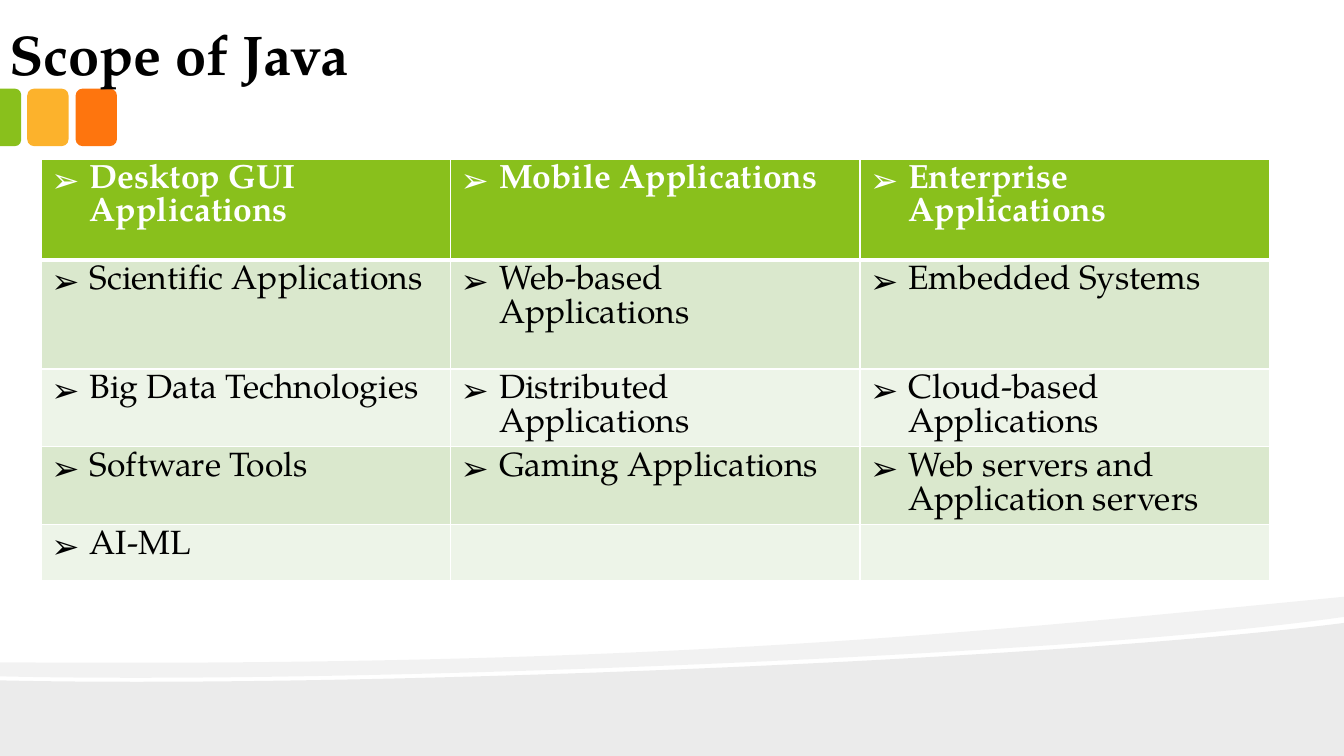
from dataclasses import dataclass

from lxml.etree import SubElement
from pptx import Presentation
from pptx.dml.color import RGBColor
from pptx.enum.shapes import MSO_SHAPE as Shape
from pptx.enum.text import MSO_ANCHOR as Anchor, PP_ALIGN as Align
from pptx.oxml.ns import qn
from pptx.util import Pt

PX = 9144  # EMU in one px, 100 px to the inch
WIDTH, HEIGHT = 1333, 750


@dataclass(frozen=True)
class Theme:
    font: str = "TeX Gyre Pagella"
    title_size: int = 40
    cell_size: int = 24
    header_spacing: float = 23.5
    body_spacing: float = 24.2
    black: str = "000000"
    white: str = "FFFFFF"
    green: str = "89C01C"
    yellow: str = "FCB22C"
    orange: str = "FE750E"
    band_dark: str = "DAE8CD"
    band_light: str = "EDF4E8"


THEME = Theme()

SCOPES = [
    ["Desktop GUI Applications", "Mobile Applications", "Enterprise Applications"],
    ["Scientific Applications", "Web-based Applications", "Embedded Systems"],
    ["Big Data Technologies", "Distributed Applications", "Cloud-based Applications"],
    ["Software Tools", "Gaming Applications", "Web servers and Application servers"],
    ["AI-ML", "", ""],
]
ROW_HEIGHTS = [100, 108, 55, 55, 55]
COLUMN_WIDTH = 406


def px(*lengths):
    return [length * PX for length in lengths]


def write(frame, text, *, size, color, bold=False, bullet=None, spacing=None):
    """Fill a text frame with one formatted paragraph."""
    paragraph = frame.paragraphs[0]
    paragraph.alignment = Align.LEFT
    if spacing:
        paragraph.line_spacing = Pt(spacing)
    if bullet:
        props = paragraph._p.get_or_add_pPr()
        props.set("marL", str(38 * PX))
        props.set("indent", str(-38 * PX))
        SubElement(props, qn("a:buFont"), typeface="Arial")
        SubElement(props, qn("a:buChar"), char=bullet)
    run = paragraph.add_run()
    run.text = text
    run.font.name = THEME.font
    run.font.size = Pt(size)
    run.font.bold = bold
    run.font.color.rgb = RGBColor.from_string(color)


def paint(shape, color, opacity=None):
    """Give a shape a plain fill without line or shadow."""
    shape.shadow.inherit = False
    shape.line.fill.background()
    shape.fill.solid()
    shape.fill.fore_color.rgb = RGBColor.from_string(color)
    if opacity:
        tone = shape._element.spPr.find(f".//{qn('a:srgbClr')}")
        SubElement(tone, qn("a:alpha"), val=str(opacity * 1000))


def bend(wave, first_segment):
    """Turn three straight segments of an outline into one Bezier curve."""
    segments = list(wave._element.iter(qn("a:lnTo")))
    control, *others = segments[first_segment:first_segment + 3]
    control.tag = qn("a:cubicBezTo")
    for segment in others:
        control.append(segment[0])
        segment.getparent().remove(segment)


def add_wave(slide, outline, curves, opacity):
    """Draw an outline; curves lists the segments where a Bezier starts."""
    first, *rest = outline
    builder = slide.shapes.build_freeform(*first, scale=PX)
    builder.add_line_segments(rest, close=True)
    wave = builder.convert_to_shape()
    for start in sorted(curves, reverse=True):
        bend(wave, start)
    paint(wave, THEME.black, opacity)


def add_tab(slide, kind, box, color, corners, rotation=0):
    tab = slide.shapes.add_shape(kind, *px(*box))
    for index, corner in enumerate(corners):
        tab.adjustments[index] = corner
    tab.rotation = rotation
    paint(tab, color)


def add_borders(cell, bottom):
    props = cell._tc.get_or_add_tcPr()
    for side, width in (("L", 1), ("R", 1), ("T", 1), ("B", bottom)):
        line = SubElement(props, qn(f"a:ln{side}"), w=str(Pt(width)))
        fill = SubElement(line, qn("a:solidFill"))
        SubElement(fill, qn("a:srgbClr"), val=THEME.white)


def add_scope_table(slide):
    columns = len(SCOPES[0])
    table = slide.shapes.add_table(
        len(SCOPES), columns,
        *px(41, 158, COLUMN_WIDTH * columns, sum(ROW_HEIGHTS))).table
    for column in table.columns:
        column.width = COLUMN_WIDTH * PX
    for index, scopes in enumerate(SCOPES):
        header = index == 0
        band = THEME.band_dark if index % 2 else THEME.band_light
        table.rows[index].height = ROW_HEIGHTS[index] * PX
        for column, scope in enumerate(scopes):
            cell = table.cell(index, column)
            add_borders(cell, bottom=3 if header else 1)
            cell.fill.solid()
            cell.fill.fore_color.rgb = RGBColor.from_string(
                THEME.green if header else band)
            if scope:
                write(cell.text_frame, scope, size=THEME.cell_size, bold=header,
                      color=THEME.white if header else THEME.black, bullet="➢",
                      spacing=THEME.header_spacing if header else THEME.body_spacing)


def add_title(slide, text):
    title = slide.shapes.title
    title.left, title.top, title.width, title.height = px(-4, 0, 1037, 93)
    frame = title.text_frame
    frame.word_wrap = True
    frame.vertical_anchor = Anchor.BOTTOM
    frame.margin_left = frame.margin_right = 13 * PX
    frame.margin_top = frame.margin_bottom = 7 * PX
    write(frame, text, size=THEME.title_size, color=THEME.black, bold=True)
    # The title lies in front of the coloured tabs
    slide.shapes._spTree.append(title._element)


def main():
    deck = Presentation()
    deck.slide_width, deck.slide_height = px(WIDTH, HEIGHT)
    slide = deck.slides.add_slide(deck.slide_layouts[5])

    # Grey waves at the foot
    add_wave(slide, [(WIDTH, 618), (WIDTH, HEIGHT), (0, HEIGHT), (0, 675),
                     (352, 683), (1042, 655), (WIDTH, 618)],
             curves=[3], opacity=8)
    add_wave(slide, [(WIDTH, 592), (WIDTH, 612),
                     (1255, 623), (1149, 633), (1029, 641),
                     (698, 663), (258, 677), (0, 671), (0, 657),
                     (652, 662), (971, 627), (WIDTH, 592)],
             curves=[1, 4, 8], opacity=5)

    # Coloured tabs under the title
    for left, color in ((75, THEME.orange), (27, THEME.yellow)):
        add_tab(slide, Shape.ROUNDED_RECTANGLE, (left, 88, 41, 57), color, [0.167])
    add_tab(slide, Shape.ROUND_2_SAME_RECTANGLE, (-18, 106, 57, 21),
            THEME.green, [0.292, 0], rotation=90)

    # Table and title
    add_scope_table(slide)
    add_title(slide, "Scope of Java")
    deck.save("out.pptx")


if __name__ == "__main__":
    main()
